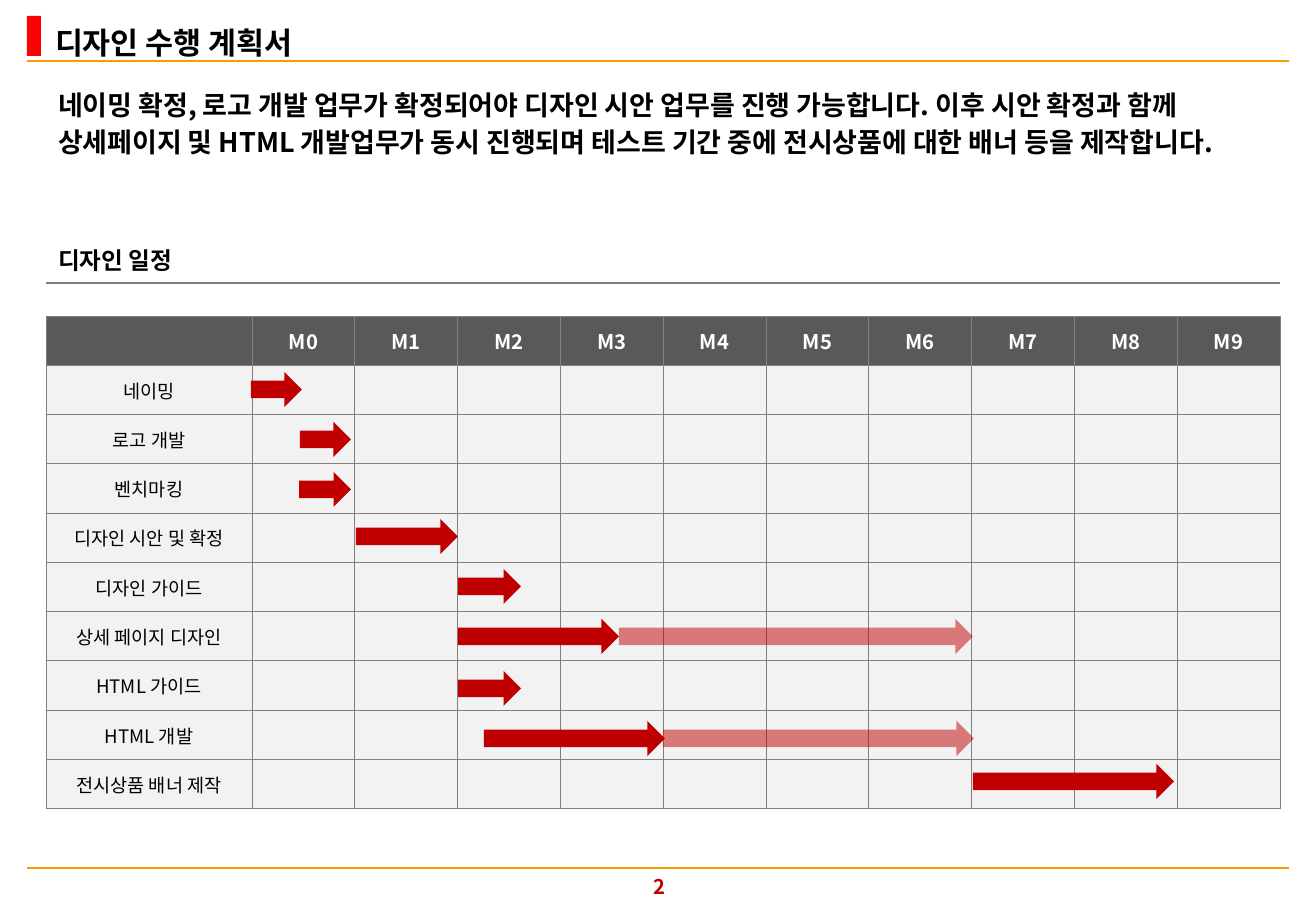
from dataclasses import dataclass

from lxml import etree
from pptx import Presentation
from pptx.dml.color import RGBColor
from pptx.enum.shapes import MSO_CONNECTOR, MSO_SHAPE
from pptx.enum.text import MSO_ANCHOR, PP_ALIGN
from pptx.oxml import parse_xml
from pptx.oxml.ns import nsdecls, qn
from pptx.util import Emu, Pt

TITLE = "디자인 수행 계획서"
SUMMARY = ("네이밍 확정, 로고 개발 업무가 확정되어야 디자인 시안 업무를 진행 가능합니다. "
           "이후 시안 확정과 함께 상세페이지 및 HTML 개발업무가 동시 진행되며 "
           "테스트 기간 중에 전시상품에 대한 배너 등을 제작합니다.")
SECTION = "디자인 일정"
PAGE = "2"
MONTHS = [f"M{n}" for n in range(10)]
# task, top of its arrows, (left, width) of each arrow: main work, then follow-up
TASKS = [
    ("네이밍", 372, [(251, 51)]),
    ("로고 개발", 422, [(300, 51)]),
    ("벤치마킹", 472, [(299, 52)]),
    ("디자인 시안 및 확정", 519, [(356, 102)]),
    ("디자인 가이드", 569, [(458, 63)]),
    ("상세 페이지 디자인", 619, [(458, 161), (619, 354)]),
    ("HTML 가이드", 671, [(458, 63)]),
    ("HTML 개발", 721, [(484, 181), (663, 311)]),
    ("전시상품 배너 제작", 764, [(973, 201)]),
]
# left, right, y, theme colour
RULES = [(27, 1289, 61, "orange"), (27, 1289, 868, "orange"), (46, 1280, 283, "grey")]
TABLE = (46, 316, 1234, 493)
LABEL_W = 206
ARROW_H = 35


@dataclass(frozen=True)
class Theme:
    font: str = "Noto Sans CJK KR"
    black: str = "000000"
    white: str = "FFFFFF"
    red: str = "FF0000"
    crimson: str = "C00000"
    orange: str = "FF9900"
    grey: str = "808080"
    header: str = "595959"
    cell: str = "F2F2F2"
    title_pt: int = 18
    summary_pt: int = 16
    section_pt: int = 14
    strong_pt: int = 12
    label_pt: int = 11
    rule_pt: float = 1.5
    border_pt: float = 0.5


T = Theme()


def px(n):
    return Emu(round(n * 914400 / 121.5))


def rgb(value):
    return RGBColor.from_string(value)


def write(p, text, size, color, bold=True):
    r = p.add_run()
    r.text = text
    r.font.size, r.font.bold, r.font.name = Pt(size), bold, T.font
    r.font.color.rgb = rgb(color)
    ea = etree.SubElement(r.font._element, qn("a:ea"))
    ea.set("typeface", T.font)


def add_text(slide, box, text, size, color=T.black, inset=12):
    tf = slide.shapes.add_textbox(*map(px, box)).text_frame
    tf.word_wrap = True
    tf.margin_left = tf.margin_right = px(inset)
    tf.margin_top = tf.margin_bottom = px(inset / 2)
    p = tf.paragraphs[0]
    write(p, text, size, color)
    return p


def add_block(slide, kind, box, color, alpha=None):
    sp = slide.shapes.add_shape(kind, *map(px, box))
    sp.shadow.inherit = False
    sp.fill.solid()
    sp.fill.fore_color.rgb = rgb(color)
    sp.line.fill.background()
    if alpha:
        clr = sp._element.spPr.find(".//" + qn("a:srgbClr"))
        etree.SubElement(clr, qn("a:alpha")).set("val", str(alpha * 1000))


def add_rule(slide, left, right, y, color):
    line = slide.shapes.add_connector(MSO_CONNECTOR.STRAIGHT, px(left), px(y), px(right), px(y))
    line.line.color.rgb = rgb(color)
    line.line.width = Pt(T.rule_pt)
    etree.SubElement(line._element.spPr, qn("a:effectLst"))


def style_cell(cell, fill):
    cell.fill.solid()
    cell.fill.fore_color.rgb = rgb(fill)
    cell.vertical_anchor = MSO_ANCHOR.MIDDLE
    cell.margin_top = cell.margin_bottom = 0
    tcPr = cell._tc.get_or_add_tcPr()
    for i, side in enumerate("LRTB"):
        tcPr.insert(i, parse_xml(
            f'<a:ln{side} {nsdecls("a")} w="{Pt(T.border_pt)}"><a:solidFill>'
            f'<a:srgbClr val="{T.grey}"/></a:solidFill></a:ln{side}>'))


def add_schedule(slide):
    left, top, width, height = TABLE
    rows = [["", *MONTHS]] + [[task] + [""] * len(MONTHS) for task, _, _ in TASKS]
    table = slide.shapes.add_table(len(rows), len(rows[0]), *map(px, TABLE)).table
    table.first_row = table.horz_banding = False
    for c, col in enumerate(table.columns):
        col.width = px((width - LABEL_W) / len(MONTHS) if c else LABEL_W)
    for r, row in enumerate(rows):
        table.rows[r].height = px(height / len(rows))
        for c, text in enumerate(row):
            cell = table.cell(r, c)
            style_cell(cell, T.cell if r else T.header)
            if text:
                p = cell.text_frame.paragraphs[0]
                p.alignment = PP_ALIGN.CENTER
                if r:
                    write(p, text, T.label_pt, T.black, bold=False)
                else:
                    write(p, text, T.strong_pt, T.white)
    for _, y, arrows in TASKS:
        for (x, w), alpha in zip(arrows, (None, 50)):
            add_block(slide, MSO_SHAPE.RIGHT_ARROW, (x, y, w, ARROW_H), T.crimson, alpha)


def main():
    prs = Presentation()
    prs.slide_width, prs.slide_height = px(1316), px(911)
    slide = prs.slides.add_slide(prs.slide_layouts[6])

    for left, right, y, color in RULES:
        add_rule(slide, left, right, y, getattr(T, color))
    add_block(slide, MSO_SHAPE.RECTANGLE, (27, 16, 14, 40), T.red)
    add_text(slide, (41, 10, 684, 55), TITLE, T.title_pt, inset=14).line_spacing = 1.2
    add_text(slide, (46, 78, 1234, 86), SUMMARY, T.summary_pt).line_spacing = Pt(22)
    add_text(slide, (46, 240, 220, 41), SECTION, T.section_pt)
    add_schedule(slide)
    page = add_text(slide, (609, 868, 101, 36), PAGE, T.strong_pt, T.crimson)
    page.alignment = PP_ALIGN.CENTER
    prs.save("out.pptx")


if __name__ == "__main__":
    main()
